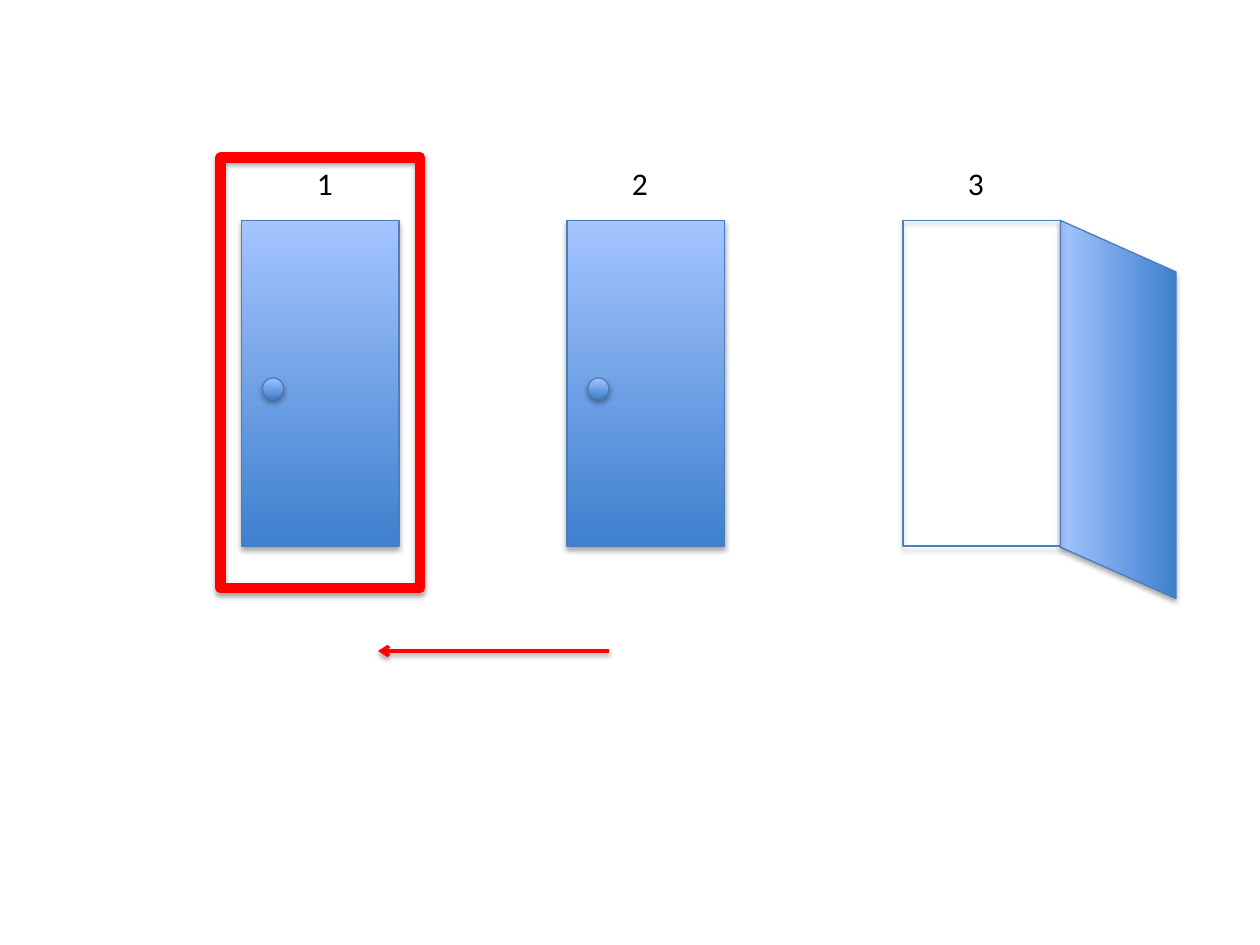
from lxml.etree import SubElement
from pptx import Presentation
from pptx.dml.color import RGBColor
from pptx.enum.shapes import MSO_CONNECTOR, MSO_SHAPE
from pptx.enum.text import MSO_AUTO_SIZE
from pptx.oxml.ns import qn
from pptx.util import Inches, Pt

COLUMNS = 120
WIDTH, HEIGHT = Inches(10), Inches(7.5)
DOOR_TOP, DOOR_W, DOOR_H = 21, 15, 31
DOORS = [("1", 23, 29), ("2", 54, 59), ("3", 86, 91)]

BLACK = RGBColor(0x00, 0x00, 0x00)
RED = RGBColor(0xFF, 0x00, 0x00)
EDGE = RGBColor(0x4B, 0x7E, 0xBC)
DARK = RGBColor(0x3F, 0x80, 0xCE)
LIGHT = RGBColor(0xA4, 0xC4, 0xFF)


def grid(*cells):
    """Convert square grid cells to slide lengths."""
    return [round(c * WIDTH / COLUMNS) for c in cells]


def add_shadow(sp, opacity=35, distance=1.8):
    """Give a shape or connector a soft shadow straight below it."""
    props = sp._element.spPr
    effects = props.find(qn("a:effectLst"))
    if effects is None:
        effects = SubElement(props, qn("a:effectLst"))
    outer = SubElement(effects, qn("a:outerShdw"), blurRad=str(Pt(3.1)),
                       dist=str(Pt(distance)), dir="5400000", rotWithShape="0")
    color = SubElement(outer, qn("a:srgbClr"), val=str(BLACK))
    SubElement(color, qn("a:alpha"), val=str(opacity * 1000))


def add_panel(s, kind, *cells, filled=True, line=EDGE, weight=0.75):
    """Add a shadowed shape with a blue gradient or no fill."""
    sp = s.shapes.add_shape(kind, *grid(*cells))
    if filled:
        sp.fill.gradient()
        sp.fill.gradient_angle = 90
        for stop, color in zip(sp.fill.gradient_stops, (DARK, LIGHT)):
            stop.color.rgb = color
    else:
        sp.fill.background()
    sp.line.color.rgb = line
    sp.line.width = Pt(weight)
    sp.shadow.inherit = False
    add_shadow(sp)
    return sp


def add_text(s, text, *cells, size=18, font="Calibri", color=BLACK):
    """Add an unwrapped text box that fits its text."""
    tf = s.shapes.add_textbox(*grid(*cells)).text_frame
    tf.word_wrap = False
    tf.auto_size = MSO_AUTO_SIZE.SHAPE_TO_FIT_TEXT
    r = tf.paragraphs[0].add_run()
    r.text = text
    r.font.size = Pt(size)
    r.font.name = font
    r.font.color.rgb = color


def add_closed_door(s, left):
    """Add a door with its knob."""
    add_panel(s, MSO_SHAPE.RECTANGLE, left, DOOR_TOP, DOOR_W, DOOR_H)
    add_panel(s, MSO_SHAPE.OVAL, left + 2, DOOR_TOP + 15, 2, 2)


def add_open_door(s, left):
    """Add a slanted door leaf beside an empty doorway."""
    leaf_w, leaf_h = 11, 36
    middle_x = left + DOOR_W + leaf_w / 2
    middle_y = DOOR_TOP + leaf_h / 2
    leaf = add_panel(s, MSO_SHAPE.PARALLELOGRAM, middle_x - leaf_h / 2,
                     middle_y - leaf_w / 2, leaf_h, leaf_w)
    leaf.rotation = 270
    leaf.adjustments[0] = 0.445
    add_panel(s, MSO_SHAPE.RECTANGLE, left, DOOR_TOP, DOOR_W, DOOR_H,
              filled=False)


def add_arrow(s, *cells):
    """Add a red arrow from the first point to the second."""
    arrow = s.shapes.add_connector(MSO_CONNECTOR.STRAIGHT, *grid(*cells))
    arrow.line.color.rgb = RED
    arrow.line.width = Pt(2)
    SubElement(arrow.line._get_or_add_ln(), qn("a:tailEnd"), type="arrow")
    add_shadow(arrow, opacity=38, distance=1.6)


def main():
    """Build the three-door slide."""
    prs = Presentation()
    prs.slide_width, prs.slide_height = WIDTH, HEIGHT
    s = prs.slides.add_slide(prs.slide_layouts[6])
    for number, left, label_left in DOORS:
        add_text(s, number, label_left, 15, 4, 4.8)
        if number == "3":
            add_open_door(s, left)
        else:
            add_closed_door(s, left)
    add_panel(s, MSO_SHAPE.RECTANGLE, 21, 15, 19, 41,
              filled=False, line=RED, weight=6)
    add_arrow(s, 58, 62, 36, 62)
    prs.save("out.pptx")


if __name__ == "__main__":
    main()
